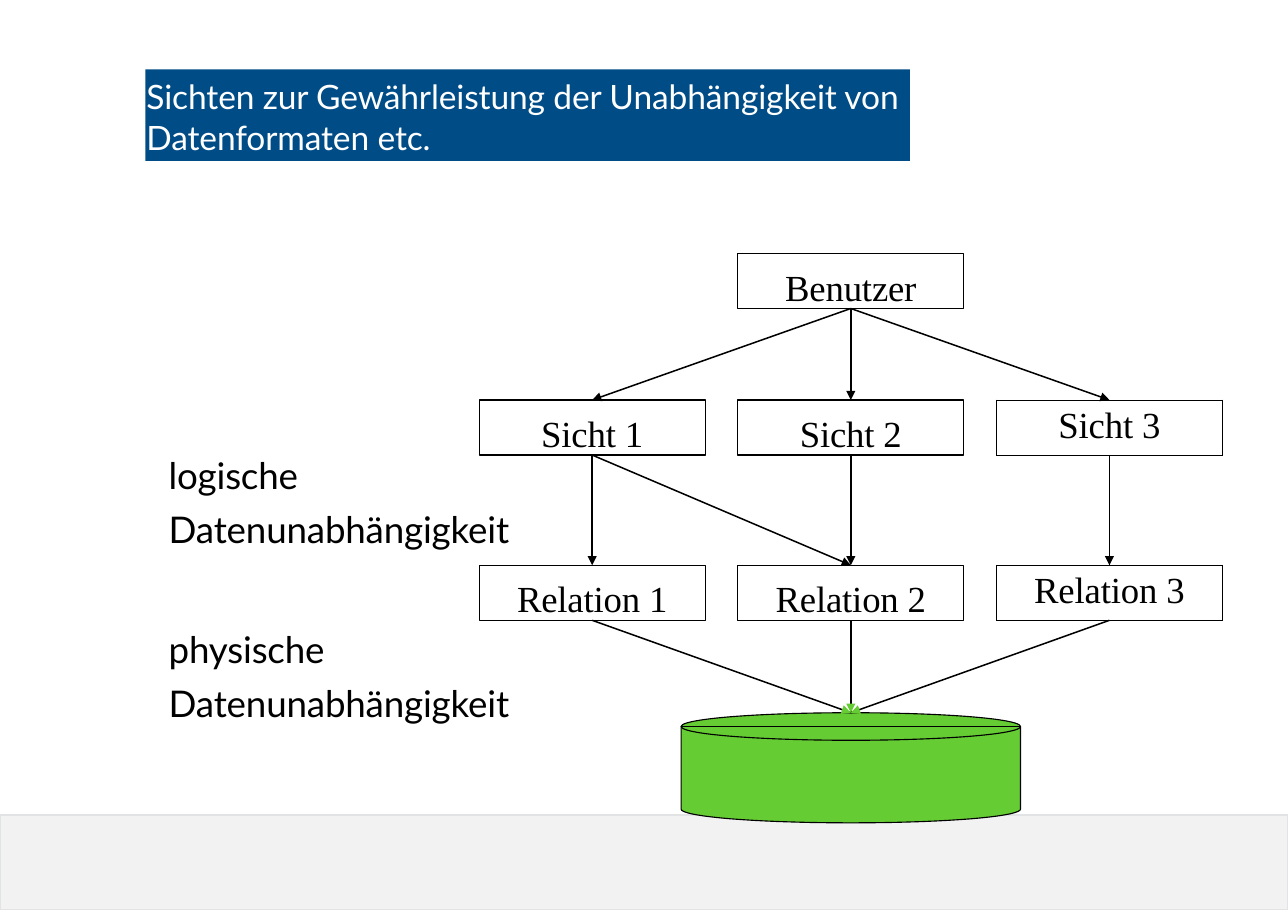
"""Build the slide on views and data independence."""
import math
from lxml import etree
from pptx import Presentation
from pptx.dml.color import RGBColor
from pptx.enum import shapes as es, text as et
from pptx.oxml import parse_xml
from pptx.oxml.ns import qn, nsdecls
from pptx.util import Pt

BLACK = RGBColor(0, 0, 0)
WHITE = RGBColor(255, 255, 255)
GREEN = RGBColor(0x66, 0xCC, 0x33)
BLUE = RGBColor(0x00, 0x4C, 0x87)
GREY = RGBColor(0xF2, 0xF2, 0xF2)
EDGE = RGBColor(0xE2, 0xE3, 0xE4)
SERIF, SANS = "Times New Roman", "Lato"

deck = Presentation()
deck.slide_width, deck.slide_height = Pt(841.68), Pt(594.72)
slide = deck.slides.add_slide(deck.slide_layouts[6])
items = slide.shapes


def style(shape, fill=None, line=None, width=0.75):
    shape.shadow.inherit = False
    if fill is None:
        shape.fill.background()
    else:
        shape.fill.solid()
        shape.fill.fore_color.rgb = fill
    if line is None:
        shape.line.fill.background()
    else:
        shape.line.color.rgb = line
        shape.line.width = Pt(width)


def write(frame, words, face, size, color, align, top):
    frame.word_wrap = True
    frame.margin_left = frame.margin_right = frame.margin_bottom = 0
    frame.margin_top = Pt(top)
    par = frame.paragraphs[0]
    par.text = words
    par.alignment = align
    font = par.font
    font.name, font.size, font.color.rgb = face, Pt(size), color
    font._element.set("spc", "-10")
    return par


bar = items.add_shape(es.MSO_SHAPE.RECTANGLE, 0, Pt(532.8), deck.slide_width, Pt(61.5))
style(bar, GREY, EDGE, 1)

LEFT, STEP, WIDE, HIGH = 313.2, 169, 147.6, 36
USER, VIEW, TABLE, STORE = 165.6, 261.4, 369.4, 465.8
mids = [LEFT + STEP * col + WIDE / 2 for col in range(3)]

boxes = [("Benutzer", 1, USER)]
for name, top in (("Sicht", VIEW), ("Relation", TABLE)):
    boxes += [(f"{name} {col + 1}", col, top) for col in range(2)]
for words, col, top in boxes:
    box = items.add_shape(es.MSO_SHAPE.RECTANGLE, Pt(LEFT + STEP * col), Pt(top), Pt(WIDE), Pt(HIGH))
    style(box, None, BLACK)
    box.text_frame.vertical_anchor = et.MSO_ANCHOR.TOP
    write(box.text_frame, words, SERIF, 24, BLACK, et.PP_ALIGN.CENTER, 7.2)

grid = items.add_table(3, 2, Pt(LEFT + STEP * 2), Pt(VIEW), Pt(WIDE), Pt(2 * HIGH + 72)).table
grid.first_row = grid.horz_banding = False
for col in grid.columns:
    col.width = Pt(WIDE / 2)
for row, tall in zip(grid.rows, (HIGH, 72, HIGH)):
    row.height = Pt(tall)
for row, words in ((0, "Sicht 3"), (2, "Relation 3")):
    grid.cell(row, 0).merge(grid.cell(row, 1))
    frame = grid.cell(row, 0).text_frame
    write(frame, words, SERIF, 24, BLACK, et.PP_ALIGN.CENTER, 3.6)
    grid.cell(row, 0).margin_left = grid.cell(row, 0).margin_right = 0
    grid.cell(row, 0).margin_top, grid.cell(row, 0).margin_bottom = Pt(3.6), 0
for row in range(3):
    for col in range(2):
        cell = grid.cell(row, col)
        cell.fill.background()
        for rank, side in enumerate("LRTB"):
            bare = row == 1 and side == "LR"[col]
            paint = "<a:noFill/>" if bare else '<a:solidFill><a:srgbClr val="000000"/></a:solidFill>'
            edge = parse_xml(f'<a:ln{side} {nsdecls("a")} w="9525">{paint}</a:ln{side}>')
            cell._tc.get_or_add_tcPr().insert(rank, edge)

RX, RY, BASE = 110.9, 9, 528.8
hub = mids[1]
rim = STORE + RY
curve = [(hub + RX * math.cos(math.radians(deg)), BASE + RY * math.sin(math.radians(deg)))
         for deg in range(0, 181, 5)]
build = items.build_freeform(Pt(hub - RX), Pt(rim))
build.add_line_segments([(Pt(x), Pt(y)) for x, y in [(hub + RX, rim)] + curve])
style(build.convert_to_shape(), GREEN, BLACK)
lid = items.add_shape(es.MSO_SHAPE.OVAL, Pt(hub - RX), Pt(STORE), Pt(2 * RX), Pt(2 * RY))
style(lid, GREEN, BLACK)

lines = [(hub - RX, rim, hub + RX, rim, 0.75, False)]
lines += [(hub, USER + HIGH, mid, VIEW, 1, True) for mid in mids]
lines += [(mids[a], VIEW + HIGH, mids[b], TABLE, 1, True) for a, b in ((1, 1), (0, 0), (0, 1))]
lines += [(mid, TABLE + HIGH, hub, STORE, 1, False) for mid in mids]
for x, y, end, low, width, arrow in lines:
    link = items.add_connector(es.MSO_CONNECTOR.STRAIGHT, Pt(x), Pt(y), Pt(end), Pt(low))
    link.line.color.rgb = BLACK
    link.line.width = Pt(width)
    prop = link._element.spPr
    if arrow:
        etree.SubElement(prop.find(qn("a:ln")), qn("a:tailEnd"), type="triangle")
    etree.SubElement(prop, qn("a:effectLst"))

tips = [(mid, TABLE + HIGH, hub, STORE, GREEN) for mid in mids]
tips.append((mids[2], VIEW + HIGH, mids[2], TABLE, BLACK))
for x, y, end, low, color in tips:
    span = math.hypot(end - x, low - y)
    dx, dy = (end - x) / span, (low - y) / span
    build = items.build_freeform(Pt(end), Pt(low))
    build.add_line_segments([(Pt(end - 6 * dx - k * dy), Pt(low - 6 * dy + k * dx)) for k in (3, -3)])
    style(build.convert_to_shape(), color)

for kind, top in (("logische", 288), ("physische", 401.8)):
    note = items.add_textbox(Pt(110.2), Pt(top), Pt(226.8), Pt(72.7))
    par = write(note.text_frame, f"{kind} Datenunabhängigkeit", SANS, 24, BLACK, et.PP_ALIGN.LEFT, 1.7)
    par.line_spacing = 1.22

head = items.add_shape(es.MSO_SHAPE.RECTANGLE, Pt(95), Pt(45.4), Pt(499.7), Pt(59.8))
style(head, BLUE)
head.text_frame.vertical_anchor = et.MSO_ANCHOR.MIDDLE
write(head.text_frame, "Sichten zur Gewährleistung der Unabhängigkeit von Datenformaten etc.",
      SANS, 21.9, WHITE, et.PP_ALIGN.LEFT, 1.7)
head.text_frame.margin_left = Pt(0.7)

deck.save("out.pptx")
